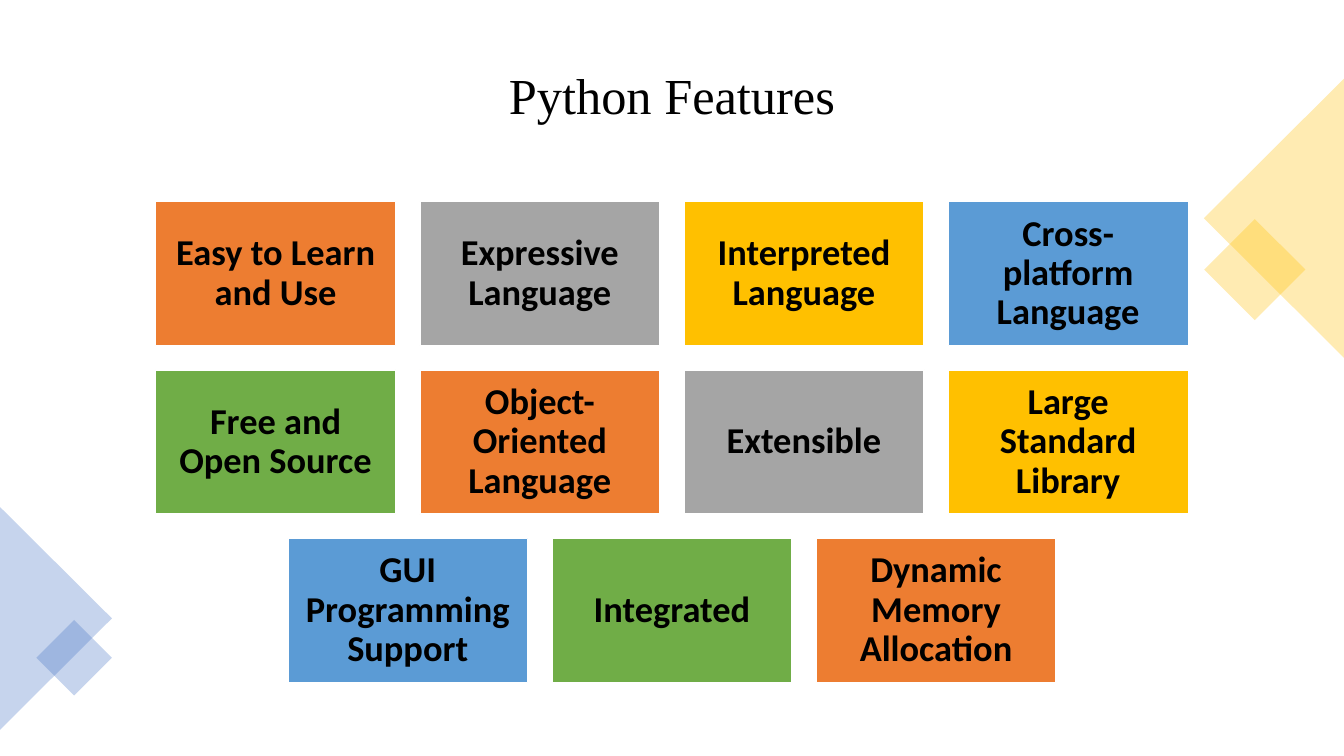
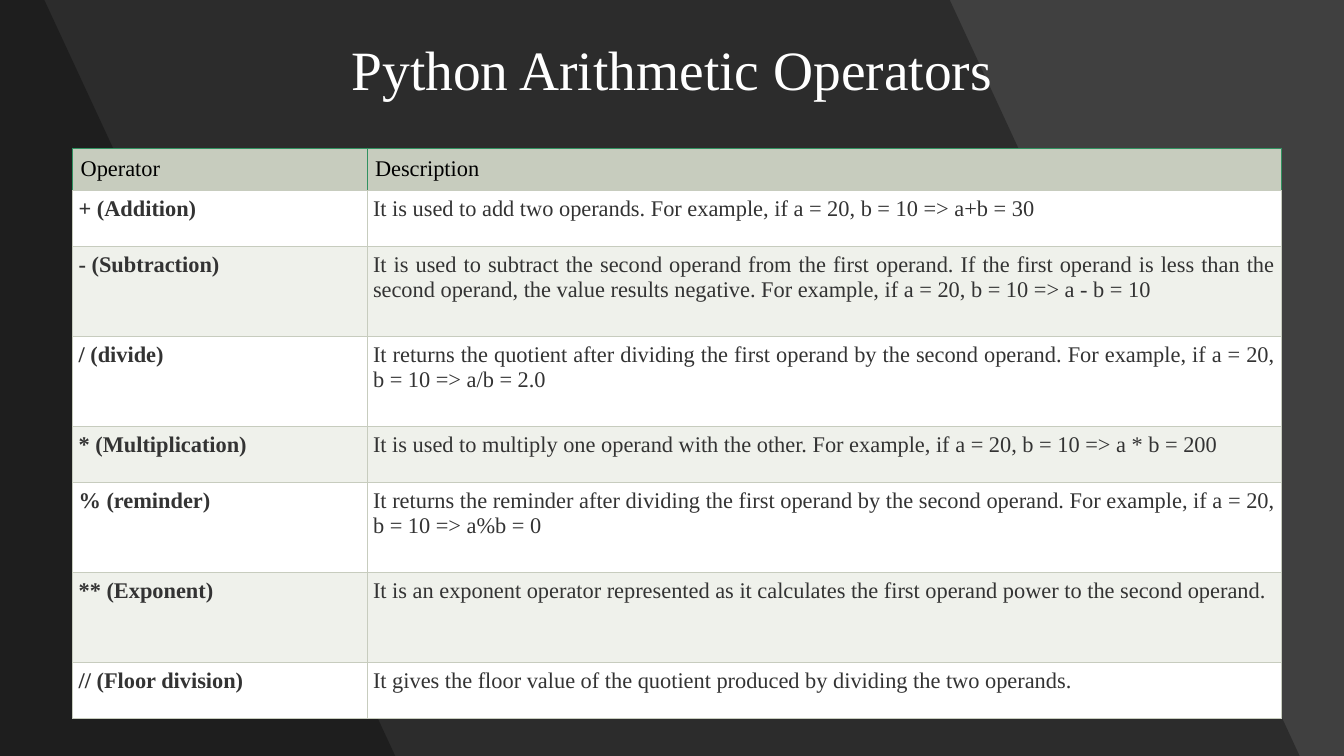
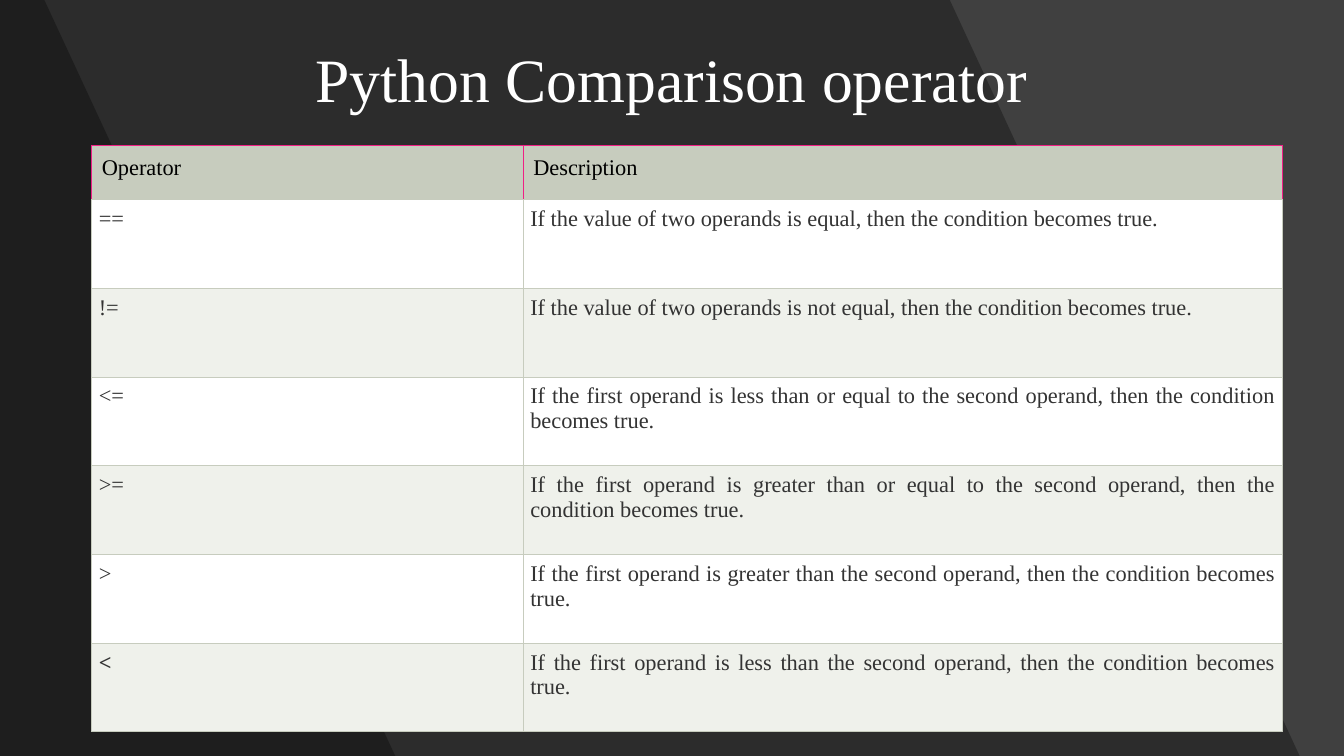
"""Build three slides on Python features and operators."""
from lxml import etree
from pptx import Presentation
from pptx.dml.color import RGBColor
from pptx.enum.shapes import MSO_SHAPE
from pptx.enum.text import MSO_ANCHOR, MSO_AUTO_SIZE, PP_ALIGN
from pptx.oxml.ns import qn
from pptx.util import Inches, Pt

RECT, PEAK = MSO_SHAPE.RECTANGLE, MSO_SHAPE.ISOSCELES_TRIANGLE
TOP, MID = MSO_ANCHOR.TOP, MSO_ANCHOR.MIDDLE
LEFT, CENTER, FULL = PP_ALIGN.LEFT, PP_ALIGN.CENTER, PP_ALIGN.JUSTIFY
FIXED = MSO_AUTO_SIZE.NONE

WIDE, HIGH = 13.33, 7.5
SERIF, SANS = "Times New Roman", "Calibri"
WHITE, BLACK, INK = "FFFFFF", "000000", "333333"
DARK, HEAD, BAND = "404040", "C7CCBE", "EFF1EB"
GOLD, BLUE = "FFC000", "4472C4"
TILES = ["ED7D31", "A5A5A5", GOLD, "5B9BD5", "70AD47"]

FEATURES = [
    ["Easy to Learn and Use", "Expressive Language", "Interpreted Language",
     "Cross-platform Language"],
    ["Free and Open Source", "Object-Oriented Language", "Extensible",
     "Large Standard Library"],
    ["GUI Programming Support", "Integrated", "Dynamic Memory Allocation"],
]
CORNERS = [
    (RECT, (12.09, 2.32, 0.71, 0.71), 45, GOLD),
    (PEAK, (11.25, 1.47, 2.77, 1.39), 270, GOLD),
    (PEAK, (-0.55, 5.58, 2.21, 1.11), 90, BLUE),
    (RECT, (0.47, 6.26, 0.53, 0.53), 45, BLUE),
]
SLANTS = [(9.42, 12.89), (0.44, 3.92)]
COLUMNS = ("Operator", "Description")
TABLES = [
    dict(
        title="Python Arithmetic Operators", size=39.6, box=(0.91, 0.4, 11.51, 1.18),
        drop=0.02, at=(0.72, 1.47), cols=(2.92, 9.07), edge="309160",
        pads=(0.08, 0.06),
        heights=[0.42, 0.56, 0.89, 0.89, 0.56, 0.89, 0.89, 0.56],
        rows=[
            ("+ (Addition)", "It is used to add two operands. For example, if a = 20, b = 10 => a+b = 30"),
            ("- (Subtraction)", "It is used to subtract the second operand from the first operand. If the first operand is less than the second operand, the value results negative. For example, if a = 20, b = 10 => a - b = 10"),
            ("/ (divide)", "It returns the quotient after dividing the first operand by the second operand. For example, if a = 20, b = 10 => a/b = 2.0"),
            ("* (Multiplication)", "It is used to multiply one operand with the other. For example, if a = 20, b = 10 => a * b = 200"),
            ("% (reminder)", "It returns the reminder after dividing the first operand by the second operand. For example, if a = 20, b = 10 => a%b = 0"),
            ("** (Exponent)", "It is an exponent operator represented as it calculates the first operand power to the second operand."),
            ("// (Floor division)", "It gives the floor value of the quotient produced by dividing the two operands."),
        ]),
    dict(
        title="Python Comparison operator", size=44, box=(0.91, 0.4, 11.51, 1.45),
        drop=0.09, at=(0.91, 1.44), cols=(4.28, 7.53), edge="F01F85",
        pads=(0.1, 0.07), heights=[0.54] + [0.88] * 6,
        rows=[
            ("==", "If the value of two operands is equal, then the condition becomes true."),
            ("!=", "If the value of two operands is not equal, then the condition becomes true."),
            ("<=", "If the first operand is less than or equal to the second operand, then the condition becomes true."),
            (">=", "If the first operand is greater than or equal to the second operand, then the condition becomes true."),
            (">", "If the first operand is greater than the second operand, then the condition becomes true."),
            ("<", "If the first operand is less than the second operand, then the condition becomes true."),
        ]),
]


def color(code):
    """Turn a hex string into a colour."""
    return RGBColor.from_string(code)


def put(frame, text, size=16, font=SERIF, ink=BLACK, bold=False, align=LEFT, lead=None):
    """Write formatted text into a frame."""
    para = frame.paragraphs[0]
    para.alignment = align
    para.line_spacing = lead
    run = para.add_run()
    run.text = text
    run.font.size = Pt(size)
    run.font.name = font
    run.font.bold = bold
    run.font.color.rgb = color(ink)


def paint(shape, fill, line=None, alpha=None):
    """Set fill, outline and transparency of a shape."""
    shape.shadow.inherit = False
    shape.fill.solid()
    shape.fill.fore_color.rgb = color(fill)
    if alpha:
        tint = shape.element.spPr.find(".//" + qn("a:srgbClr"))
        etree.SubElement(tint, qn("a:alpha"), val=str(alpha * 1000))
    if line:
        shape.line.color.rgb = color(line)
        shape.line.width = Pt(1)
    else:
        shape.line.fill.background()


def start(deck, back):
    """Add a slide with a plain background."""
    slide = deck.slides.add_slide(deck.slide_layouts[5])
    slide.background.fill.solid()
    slide.background.fill.fore_color.rgb = color(back)
    return slide


def head(slide, text, box, size, ink, anchor=MID, drop=0.05):
    """Place the title above the backdrop."""
    title = slide.shapes.title
    title.left, title.top, title.width, title.height = map(Inches, box)
    frame = title.text_frame
    frame.auto_size = FIXED
    frame.word_wrap = True
    frame.vertical_anchor = anchor
    frame.margin_top = Inches(drop)
    put(frame, text, size=size, ink=ink, align=CENTER, lead=0.9)
    title.element.getparent().append(title.element)


def tile(slide, text, box, fill):
    """Add one feature tile."""
    card = slide.shapes.add_shape(RECT, *map(Inches, box))
    paint(card, fill, line=WHITE)
    frame = card.text_frame
    frame.word_wrap = True
    frame.vertical_anchor = MID
    frame.margin_left = frame.margin_right = Inches(0.11)
    frame.margin_top = frame.margin_bottom = Inches(0.11)
    put(frame, text, size=26, font=SANS, bold=True, align=CENTER, lead=0.9)


def features(deck):
    """Build the slide of feature tiles."""
    slide = start(deck, WHITE)
    for kind, box, turn, fill in CORNERS:
        mark = slide.shapes.add_shape(kind, *map(Inches, box))
        mark.rotation = turn
        paint(mark, fill, alpha=30)
    head(slide, "Python Features", (0.7, 0.35, 11.93, 1.24), 36, BLACK)
    wide, high, gap, count = 2.38, 1.43, 0.24, 0
    for row, names in enumerate(FEATURES):
        left = (WIDE - len(names) * (wide + gap) + gap) / 2
        for col, name in enumerate(names):
            box = (left + col * (wide + gap), 2 + row * (high + gap), wide, high)
            tile(slide, name, box, TILES[count % len(TILES)])
            count += 1


def slants(slide):
    """Add the slanted dark bands."""
    for top, base in SLANTS:
        path = slide.shapes.build_freeform(0, 0, scale=1.0)
        points = [(top, 0), (base, HIGH), (0, HIGH)]
        path.add_line_segments([(Inches(x), Inches(y)) for x, y in points], close=True)
        paint(path.convert_to_shape(), BLACK, alpha=30)


def border(cell, side, code):
    """Draw one border of a cell."""
    line = etree.SubElement(cell._tc.get_or_add_tcPr(), qn("a:ln" + side), w=str(Pt(0.75)))
    fill = etree.SubElement(line, qn("a:solidFill"))
    etree.SubElement(fill, qn("a:srgbClr"), val=code)


def fill_cell(cell, text, fill, pad, edge, **form):
    """Fill, pad, frame and write one cell."""
    for side in "LRTB":
        border(cell, side, HEAD if side == "B" else edge)
    cell.fill.solid()
    cell.fill.fore_color.rgb = color(fill)
    cell.margin_left = cell.margin_right = Inches(pad)
    cell.margin_top = cell.margin_bottom = Inches(pad)
    put(cell.text_frame, text, **form)


def operators(deck, data):
    """Build a slide with a table of operators."""
    slide = start(deck, DARK)
    slants(slide)
    head(slide, data["title"], data["box"], data["size"], WHITE, TOP, data["drop"])
    cols, heights = data["cols"], data["heights"]
    size = (sum(cols), sum(heights))
    grid = slide.shapes.add_table(
        len(heights), len(cols), *map(Inches, data["at"] + size)).table
    grid.first_row = grid.horz_banding = False
    for col, width in zip(grid.columns, cols):
        col.width = Inches(width)
    for row, height in zip(grid.rows, heights):
        row.height = Inches(height)
    top, body = data["pads"]
    for col, text in enumerate(COLUMNS):
        fill_cell(grid.cell(0, col), text, HEAD, top, data["edge"])
    for row, pair in enumerate(data["rows"], 1):
        for col, text in enumerate(pair):
            bold = col == 0 and ("(" in text or text == "<")
            fill_cell(grid.cell(row, col), text, WHITE if row % 2 else BAND,
                      body, HEAD, ink=INK, bold=bold, align=FULL)


def main():
    """Build and save the deck."""
    deck = Presentation()
    deck.slide_width, deck.slide_height = Inches(WIDE), Inches(HIGH)
    features(deck)
    for data in TABLES:
        operators(deck, data)
    deck.save("out.pptx")


if __name__ == "__main__":
    main()
